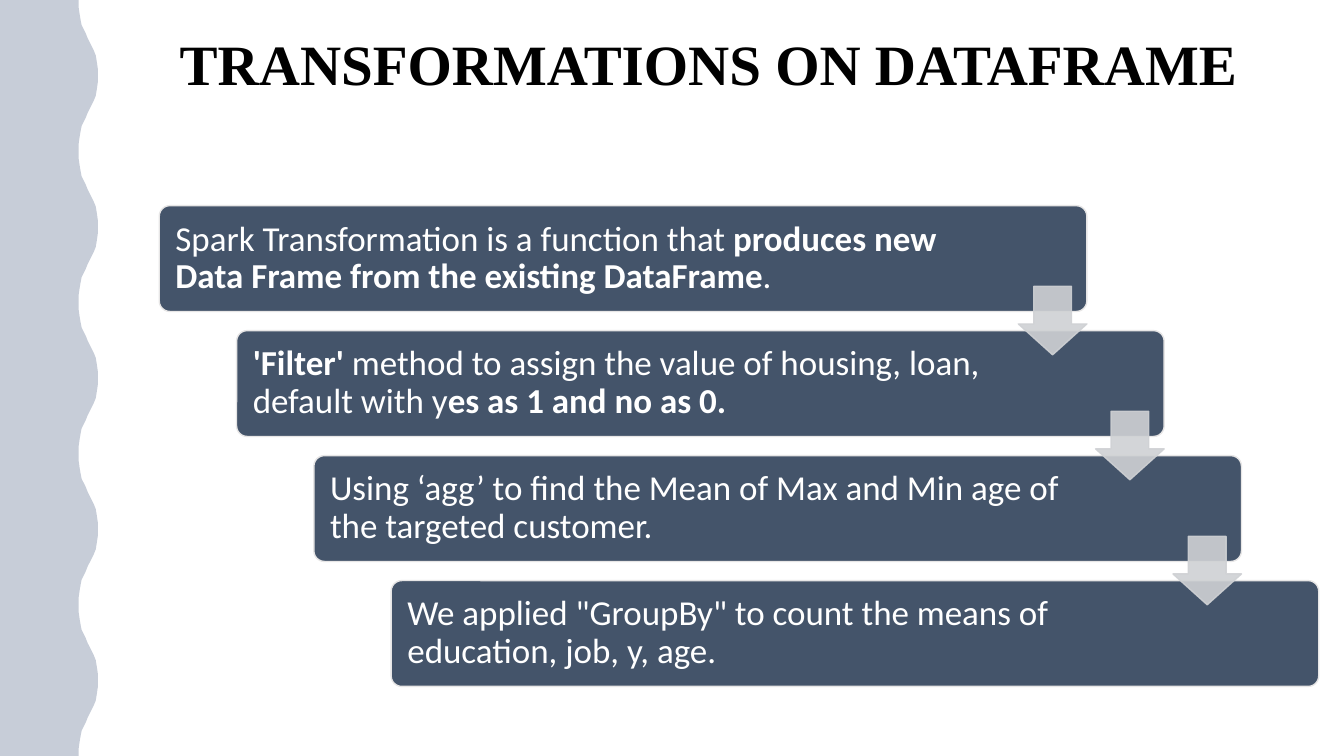
from lxml import etree
from pptx import Presentation
from pptx.dml.color import RGBColor
from pptx.enum.shapes import MSO_SHAPE
from pptx.enum.text import MSO_ANCHOR, PP_ALIGN
from pptx.oxml.ns import qn
from pptx.util import Inches, Pt

ROUNDED = MSO_SHAPE.ROUNDED_RECTANGLE
DOWN_ARROW = MSO_SHAPE.DOWN_ARROW
MIDDLE = MSO_ANCHOR.MIDDLE
LEFT, CENTER = PP_ALIGN.LEFT, PP_ALIGN.CENTER

BLACK = RGBColor(0x00, 0x00, 0x00)
WHITE = RGBColor(0xFF, 0xFF, 0xFF)
NAVY = RGBColor(0x20, 0x38, 0x64)
SLATE = RGBColor(0x44, 0x54, 0x6A)
PALE = RGBColor(0xE7, 0xE6, 0xE6)
SILVER = RGBColor(0xCF, 0xD1, 0xD4)


class Deck:
    """Holds the style and the current slide."""

    title_font, body_font = "Times New Roman", "Calibri"
    title_size, body_size = Pt(40.7), Pt(25)

    def __init__(self, slide):
        self.slide = slide

    def paint(self, shape, fill, line=None, opacity=100):
        shape.shadow.inherit = False
        shape.fill.solid()
        shape.fill.fore_color.rgb = fill
        if line is None:
            shape.line.fill.background()
        else:
            shape.line.color.rgb = line
            shape.line.width = Pt(1)
        if opacity < 100:
            for color in shape.element.spPr.iter(qn("a:srgbClr")):
                etree.SubElement(color, qn("a:alpha")).set("val", str(opacity * 1000))

    def set_text(self, shape, runs, font, size, color, align):
        """Fill a shape with one paragraph of (text, bold) runs."""
        frame = shape.text_frame
        frame.word_wrap = True
        frame.vertical_anchor = MIDDLE
        paragraph = frame.paragraphs[0]
        paragraph.alignment = align
        paragraph.line_spacing = 0.9
        for text, bold in runs:
            run = paragraph.add_run()
            run.text = text
            run.font.name, run.font.size = font, size
            run.font.bold = bold
            run.font.color.rgb = color

    def title(self, text, left, top, width, height):
        box = self.slide.shapes.add_textbox(
            Inches(left), Inches(top), Inches(width), Inches(height))
        self.set_text(box, [(text, True)], self.title_font, self.title_size, BLACK, CENTER)

    def outline(self, points, fill, opacity):
        builder = self.slide.shapes.build_freeform(
            Inches(points[0][0]), Inches(points[0][1]))
        builder.add_line_segments([(Inches(x), Inches(y)) for x, y in points[1:]])
        self.paint(builder.convert_to_shape(), fill, opacity=opacity)

    def step(self, runs, left, top, width, height, text_width):
        card = self.slide.shapes.add_shape(
            ROUNDED, Inches(left), Inches(top), Inches(width), Inches(height))
        card.adjustments[0] = 0.1
        self.paint(card, SLATE, PALE)
        frame = card.text_frame
        frame.margin_left = Inches(0.13)
        frame.margin_right = Inches(width - 0.13 - text_width)
        frame.margin_top = frame.margin_bottom = Inches(0.1)
        self.set_text(card, runs, self.body_font, self.body_size, WHITE, LEFT)

    def arrow(self, left, top, size):
        arrow = self.slide.shapes.add_shape(
            DOWN_ARROW, Inches(left), Inches(top), Inches(size), Inches(size))
        arrow.adjustments[0], arrow.adjustments[1] = 0.55, 0.45
        self.paint(arrow, SILVER, SILVER, opacity=90)


presentation = Presentation()
presentation.slide_width, presentation.slide_height = Inches(13.33), Inches(7.5)
deck = Deck(presentation.slides.add_slide(presentation.slide_layouts[6]))

# Wavy side band: half a wave, mirrored and repeated down the slide
WAVE_HEIGHT, WAVE_COUNT = 1.5, 5
rising = [(0.78, 0), (0.78, 0.07), (0.79, 0.14), (0.8, 0.2), (0.81, 0.25),
          (0.83, 0.29), (0.85, 0.33), (0.87, 0.38), (0.89, 0.42), (0.91, 0.46),
          (0.93, 0.5), (0.95, 0.55), (0.96, 0.61), (0.97, 0.68), (0.97, 0.75)]
wave = rising + [(x, WAVE_HEIGHT - y) for x, y in rising[-2::-1]]
edge = [(x, y + WAVE_HEIGHT * n) for n in range(WAVE_COUNT) for x, y in wave]
deck.outline([(0, 0)] + edge + [(0, 7.5)], NAVY, opacity=25)

# Title
deck.title("TRANSFORMATIONS ON DATAFRAME", 1.26, 0.32, 11.53, 0.7)

# Staircase of steps: runs and text width
steps = [
    ([("Spark Transformation is a function that ", False),
      ("produces new Data Frame from the existing DataFrame", True),
      (".", False)], 7.78),
    ([("'Filter'", True),
      (" method to\u00a0assign the value of housing, loan, default with y", False),
      ("es as\u00a01 and no as\u00a00.", True)], 7.49),
    ([("Using ‘agg’\u00a0to find the Mean of Max and Min age of "
       "the targeted\u00a0customer.", False)], 7.5),
    ([('We applied "GroupBy" to\u00a0count\u00a0the means of '
       "education, job, y, age.", False)], 7.49),
]
STEP_WIDTH, STEP_HEIGHT, ARROW_SIZE = 9.2, 1.05, 0.68
corners = [(1.58 + 2.3 / 3 * n, 2.04 + 1.24 * n) for n in range(len(steps))]
for (runs, text_width), (left, top) in zip(steps, corners):
    deck.step(runs, left, top, STEP_WIDTH, STEP_HEIGHT, text_width)

# Arrows flush with the right edge of every step but the last
for left, top in corners[:-1]:
    deck.arrow(left + STEP_WIDTH - ARROW_SIZE, top + 0.8, ARROW_SIZE)

presentation.save("out.pptx")
